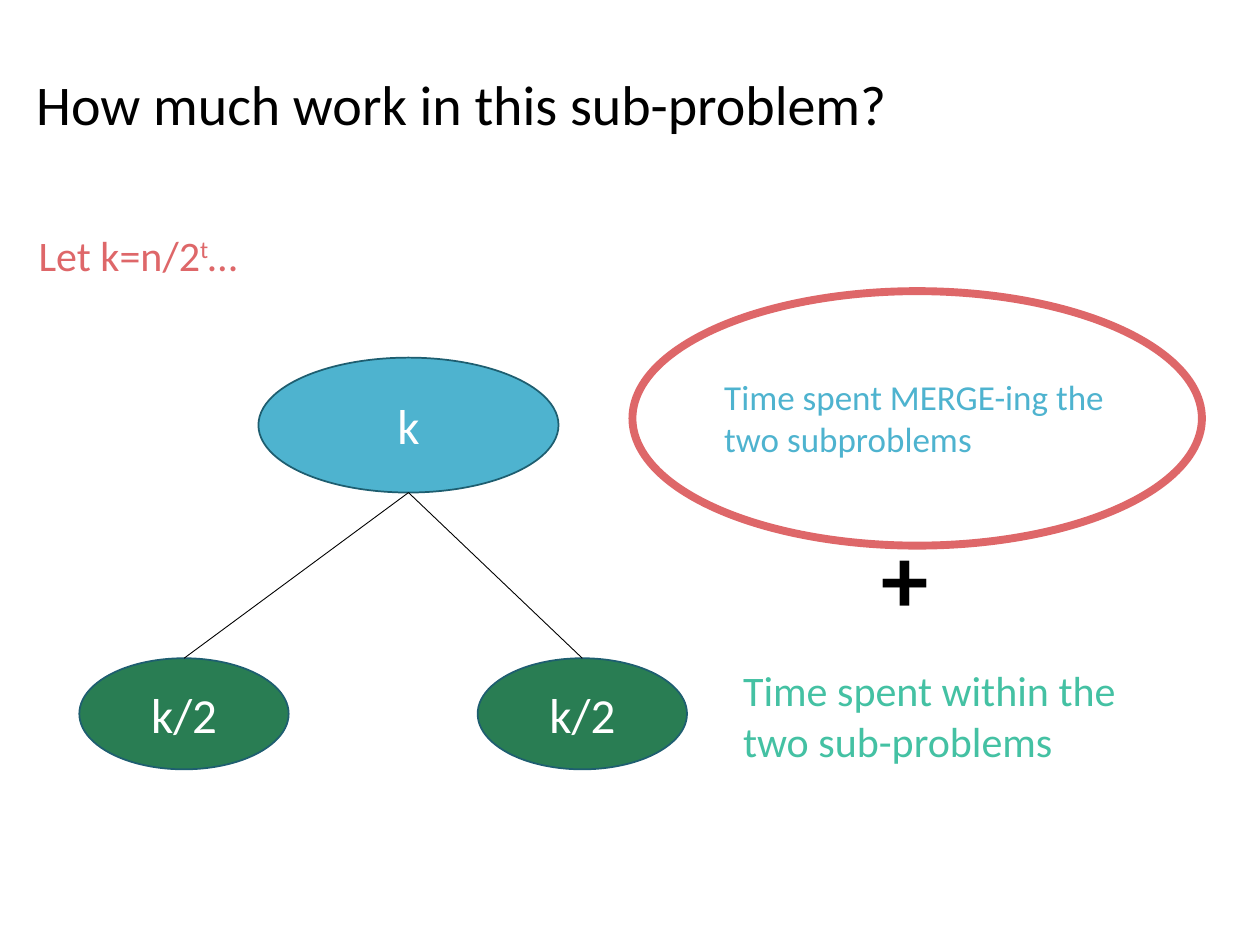
from dataclasses import dataclass

from lxml import etree
from pptx import Presentation
from pptx.dml.color import RGBColor
from pptx.enum.shapes import MSO_CONNECTOR, MSO_SHAPE
from pptx.enum.text import MSO_ANCHOR, PP_ALIGN
from pptx.oxml.ns import qn
from pptx.util import Cm, Pt

OVAL = MSO_SHAPE.OVAL
STRAIGHT = MSO_CONNECTOR.STRAIGHT
TOP, MIDDLE = MSO_ANCHOR.TOP, MSO_ANCHOR.MIDDLE
LEFT, CENTER = PP_ALIGN.LEFT, PP_ALIGN.CENTER
BLANK_LAYOUT = 6
TOP_SITE = 0


@dataclass(frozen=True)
class Theme:
    font: str = "Calibri"
    black: str = "000000"
    white: str = "FFFFFF"
    blue: str = "4EB3CF"
    outline: str = "1E5E70"
    green: str = "297D53"
    mint: str = "44C1A3"
    red: str = "DE6769"
    title: int = 32
    node: int = 28
    body: int = 24
    small: int = 20
    symbol: int = 54


THEME = Theme()


def color(value):
    return RGBColor.from_string(value)


def write(shape, text, *, size, fill, bold=False, align=LEFT, anchor=TOP,
          spacing=None):
    """Write text given as a string or as (text, is_superscript) pairs."""
    frame = shape.text_frame
    frame.word_wrap = True
    frame.vertical_anchor = anchor
    paragraph = frame.paragraphs[0]
    paragraph.alignment = align
    if spacing:
        paragraph.line_spacing = spacing
    parts = [(text, False)] if isinstance(text, str) else text
    for part, superscript in parts:
        run = paragraph.add_run()
        run.text = part
        run.font.name = THEME.font
        run.font.size = Pt(size)
        run.font.bold = bold
        run.font.color.rgb = color(fill)
        if superscript:
            run.font._element.set("baseline", "30000")


def add_text(slide, box, text, **text_format):
    shape = slide.shapes.add_textbox(*(Cm(length) for length in box))
    write(shape, text, **text_format)


def add_oval(slide, box, *, line, width, fill=None):
    shape = slide.shapes.add_shape(OVAL, *(Cm(length) for length in box))
    shape.shadow.inherit = False
    if fill:
        shape.fill.solid()
        shape.fill.fore_color.rgb = color(fill)
    else:
        shape.fill.background()
    shape.line.color.rgb = color(line)
    shape.line.width = Pt(width)
    return shape


def add_node(slide, box, label, fill):
    node = add_oval(slide, box, line=THEME.outline, width=1, fill=fill)
    write(node, label, size=THEME.node, fill=THEME.white, align=CENTER,
          anchor=MIDDLE)
    return node


def add_branch(slide, parent, child):
    """Draw a line from the bottom of the parent to the top of the child."""
    branch = slide.shapes.add_connector(
        STRAIGHT, parent.left + parent.width // 2, parent.top + parent.height,
        child.left + child.width // 2, child.top)
    branch.end_connect(child, TOP_SITE)
    branch.line.color.rgb = color(THEME.black)
    branch.line.width = Pt(0.5)
    etree.SubElement(branch._element.spPr, qn("a:effectLst"))


def add_heading(slide, left, top, width):
    add_text(slide, (left, top, width, 3.68),
             "How much work in this sub-problem?", size=THEME.title,
             fill=THEME.black, anchor=MIDDLE, spacing=0.9)
    add_text(slide, (left + 0.05, top + 4.17, 6.35, 1.27),
             [("Let k=n/2", False), ("t", True), ("…", False)],
             size=THEME.body, fill=THEME.red)


def add_tree(slide, left, top, width, height):
    child_width, child_height = 4.22, 2.24
    root = add_node(slide, (left + 3.61, top, 6.05, 2.72), "k", THEME.blue)
    for child_left in (left, left + width - child_width):
        child = add_node(
            slide,
            (child_left, top + height - child_height, child_width, child_height),
            "k/2", THEME.green)
        add_branch(slide, root, child)


def add_costs(slide, left, top, width):
    # Merge cost, ringed
    add_text(slide, (left + 1.6, top + 1.57, 8.94, 1.96),
             "Time spent MERGE-ing the two subproblems",
             size=THEME.small, fill=THEME.blue)
    add_oval(slide, (left, top, width, 5.13), line=THEME.red, width=4.5)
    # Plus sign and recursive cost
    add_text(slide, (left + 4.78, top + 4.47, 2.54, 2.57), "+",
             size=THEME.symbol, fill=THEME.black, bold=True)
    add_text(slide, (left + 1.98, top + 7.41, 8.94, 2.31),
             "Time spent within the two sub-problems",
             size=THEME.body, fill=THEME.mint)


def main():
    presentation = Presentation()
    presentation.slide_width = Cm(25.4)
    presentation.slide_height = Cm(19.05)
    slide = presentation.slides.add_slide(
        presentation.slide_layouts[BLANK_LAYOUT])
    add_heading(slide, 0.48, 0.33, 24.92)
    add_tree(slide, 1.6, 7.21, 12.25, 8.3)
    add_costs(slide, 12.75, 5.87, 11.48)
    presentation.save("out.pptx")


if __name__ == "__main__":
    main()
